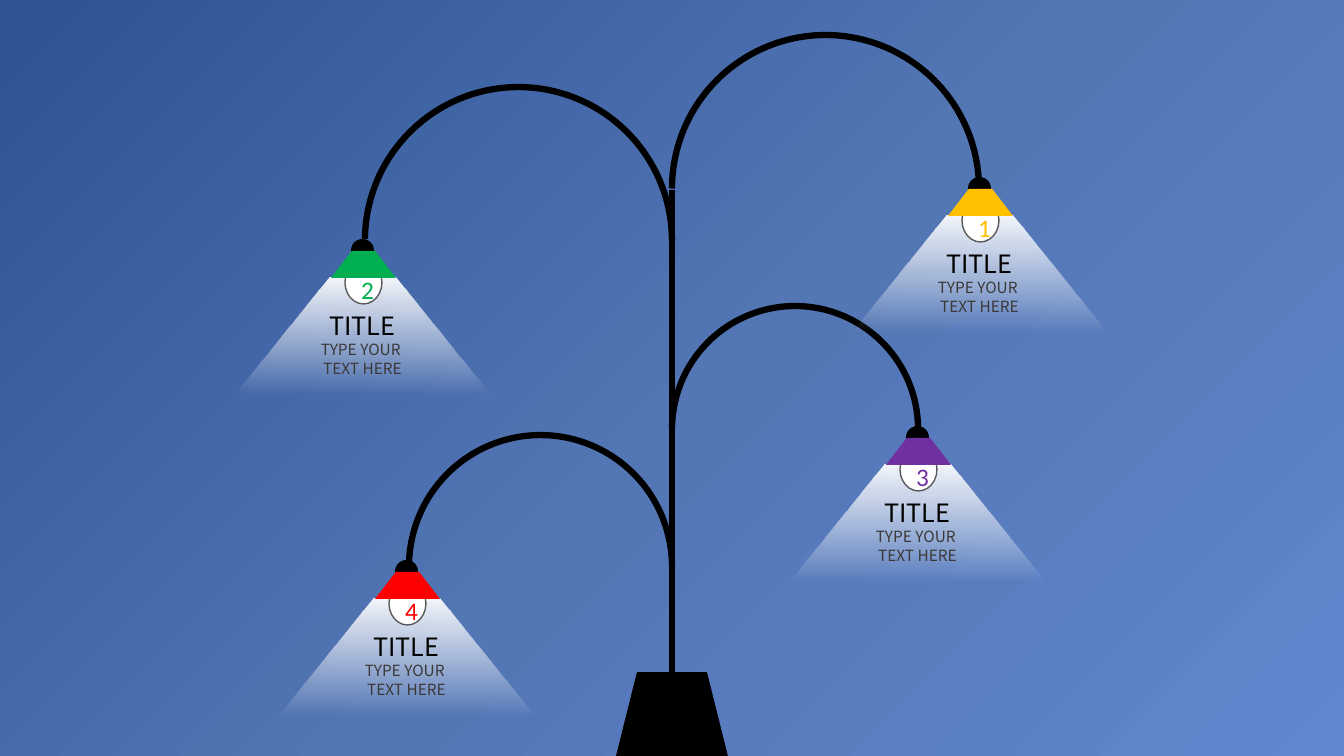
from lxml import etree
from pptx import Presentation
from pptx.dml.color import RGBColor
from pptx.enum.shapes import MSO_CONNECTOR, MSO_SHAPE as SHAPE
from pptx.enum.text import MSO_AUTO_SIZE, PP_ALIGN
from pptx.oxml.ns import qn
from pptx.util import Pt

PIXEL = 9071  # EMU per pixel
WIDTH, HEIGHT = 1344, 756
COLORS = {
    "black": "000000", "white": "FFFFFF", "outline": "595959",
    "body": "3B3838", "glow": "F6F8FC",
    "sky_dark": "2F5597", "sky_mid": "5376B5", "sky_light": "6087CE",
    "yellow": "FFC000", "green": "00B050", "purple": "7030A0", "red": "FF0000",
}
HEADING_FONT, NUMBER_FONT = "Noto Sans CJK SC", "Calibri"
BODY = "TYPE YOUR  TEXT HERE"

# Lamp boxes: left, top, shade color
LAMPS = [(852, 177, "yellow"), (235, 239, "green"),
         (790, 426, "purple"), (279, 560, "red")]
# Arms: left, top, diameter, whether it hangs to the left, end angle setting
ARMS = [(672, 35, 307, False, 52), (365, 87, 307, True, 53.6),
        (409, 435, 263, True, 53.6), (672, 306, 246, False, 53.6)]


def emu(*pixels):
    return [round(value * PIXEL) for value in pixels]


def rgb(name):
    return RGBColor.from_string(COLORS[name])


def set_gradient(fill, holder, stops, angle):
    """Put a linear gradient of (percent, color, opacity) stops on a fill."""
    fill.solid()
    solid = holder.find(qn("a:solidFill"))
    gradient = etree.Element(qn("a:gradFill"), rotWithShape="1")
    stop_list = etree.SubElement(gradient, qn("a:gsLst"))
    for percent, color, opacity in stops:
        stop = etree.SubElement(stop_list, qn("a:gs"), pos=str(percent * 1000))
        value = etree.SubElement(stop, qn("a:srgbClr"), val=COLORS[color])
        if opacity < 100:
            etree.SubElement(value, qn("a:alpha"), val=str(opacity * 1000))
    etree.SubElement(gradient, qn("a:lin"), ang=str(angle * 60000), scaled="0")
    holder.replace(solid, gradient)


def add_shape(slide, kind, box, fill=None, line=None, width=1, adjust=()):
    shape = slide.shapes.add_shape(kind, *emu(*box))
    shape.shadow.inherit = False
    for index, value in enumerate(adjust):
        shape.adjustments[index] = value
    if fill:
        shape.fill.solid()
        shape.fill.fore_color.rgb = rgb(fill)
    else:
        shape.fill.background()
    if line:
        shape.line.color.rgb = rgb(line)
        shape.line.width = Pt(width)
    else:
        shape.line.fill.background()
    return shape


def add_text(slide, box, lines):
    """Add centred lines of (text, size, font, color)."""
    frame = slide.shapes.add_textbox(*emu(*box)).text_frame
    frame.word_wrap = True
    frame.auto_size = MSO_AUTO_SIZE.SHAPE_TO_FIT_TEXT
    for index, (text, size, font, color) in enumerate(lines):
        paragraph = frame.add_paragraph() if index else frame.paragraphs[0]
        paragraph.alignment = PP_ALIGN.CENTER
        run = paragraph.add_run()
        run.text = text
        for name, value in {"size": Pt(size), "name": font}.items():
            setattr(run.font, name, value)
        run.font.color.rgb = rgb(color)


def add_background(slide):
    background = slide.background
    fill = background.fill
    fill.solid()
    holder = slide._element.cSld.find(qn("p:bg")).find(qn("p:bgPr"))
    set_gradient(fill, holder, [(2, "sky_dark", 100), (53, "sky_mid", 100),
                                (100, "sky_light", 100)], 45)


def add_post(slide, left, top, width, height):
    """Foot at the bottom of the box, trunk rising from its middle."""
    foot_height = 84
    foot_top = top + height - foot_height
    middle = left + width / 2
    add_shape(slide, SHAPE.TRAPEZOID, (left, foot_top, width, foot_height), "black")
    trunk = slide.shapes.add_connector(
        MSO_CONNECTOR.STRAIGHT, *emu(middle, foot_top, middle, top))
    trunk.line.color.rgb = rgb("black")
    trunk.line.width = Pt(4.5)
    etree.SubElement(trunk._element.spPr, qn("a:effectLst"))


def add_arm(slide, left, top, diameter, to_left, end):
    arm = add_shape(slide, SHAPE.ARC, (left, top, diameter, diameter),
                    line="black", width=4.5, adjust=(162, end))
    arm.rotation = 90 if to_left else 270
    if to_left:
        arm._element.spPr.find(qn("a:xfrm")).set("flipH", "1")


def add_lamp(slide, left, top, number, color):
    def place(x, y, width, height):
        return left + x, top + y, width, height

    # Cap, light beam, bulb and shade
    add_shape(slide, SHAPE.OVAL, place(116, 0, 23, 23), "black")
    beam = add_shape(slide, SHAPE.TRAPEZOID, place(0, 39, 256, 117), adjust=[0.81])
    set_gradient(beam.fill, beam._element.spPr,
                 [(0, "glow", 100), (100, "white", 0)], 90)
    add_shape(slide, SHAPE.OVAL, place(110, 22, 37, 43), "white", "outline")
    add_shape(slide, SHAPE.TRAPEZOID, place(96, 12, 65, 27), color, adjust=[0.77])

    # Number and caption
    add_text(slide, place(122, 30, 14, 40), [(str(number), 18, NUMBER_FONT, color)])
    add_text(slide, place(71, 66, 113, 78), [("TITLE", 18, HEADING_FONT, "black"),
                                             (BODY, 11, HEADING_FONT, "body")])


def build():
    presentation = Presentation()
    presentation.slide_width, presentation.slide_height = emu(WIDTH, HEIGHT)
    slide = presentation.slides.add_slide(presentation.slide_layouts[6])
    add_background(slide)
    add_post(slide, 616, 190, 112, 566)
    for arm in ARMS:
        add_arm(slide, *arm)
    for number, (left, top, color) in enumerate(LAMPS, start=1):
        add_lamp(slide, left, top, number, color)
    presentation.save("out.pptx")


build()
